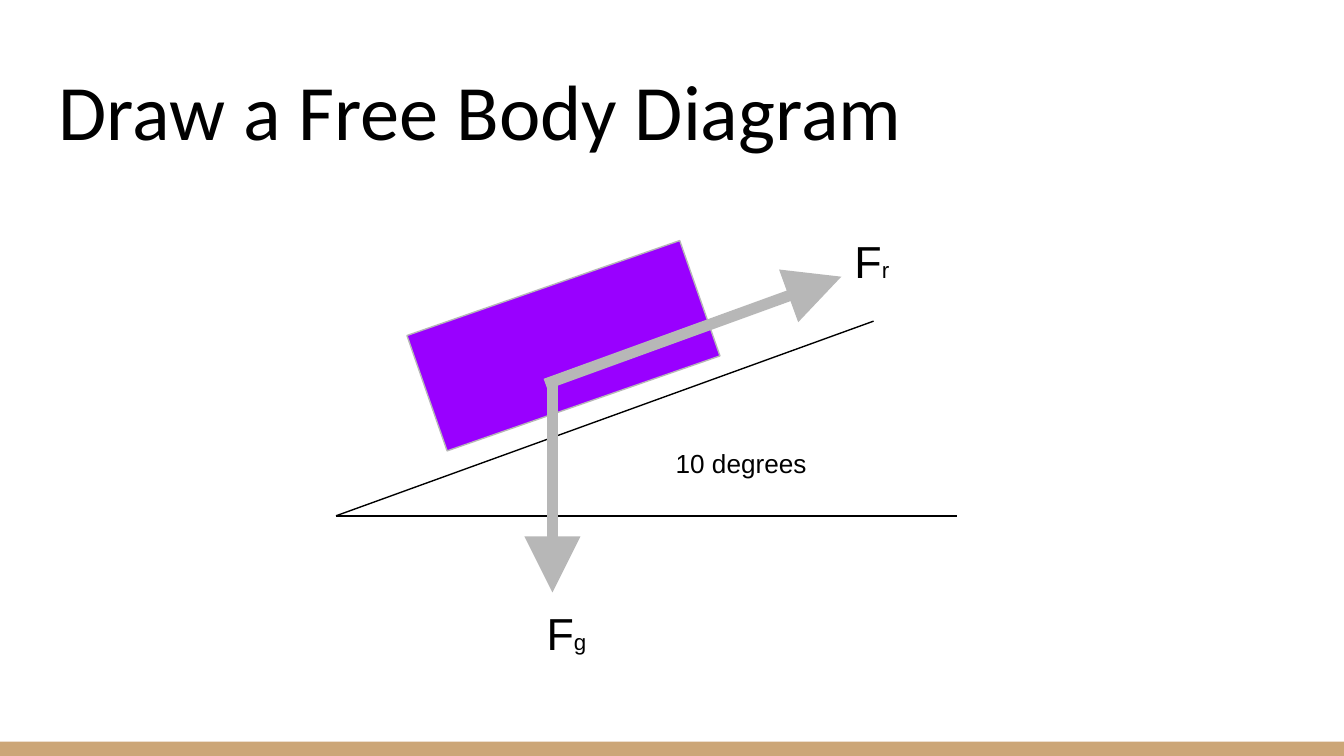
"""Build the slide with the free body diagram of a block on an incline."""
from lxml.etree import SubElement
from pptx import Presentation
from pptx.dml.color import RGBColor
from pptx.enum.shapes import MSO_CONNECTOR as Link, MSO_SHAPE as Shape
from pptx.enum.text import MSO_ANCHOR as Anchor
from pptx.oxml.ns import qn
from pptx.util import Cm, Pt

BLACK = RGBColor(0x00, 0x00, 0x00)
GREY = RGBColor(0xB7, 0xB7, 0xB7)
PURPLE = RGBColor(0x99, 0x00, 0xFF)
TAN = RGBColor(0xCC, 0xA6, 0x77)

FRAME_FORMAT = {
    "word_wrap": True,
    "margin_left": Cm(0.25),
    "margin_right": Cm(0.25),
    "margin_top": Cm(0.25),
    "margin_bottom": Cm(0.25),
}


def add_label(box, parts, font_name="Arial", anchor=Anchor.TOP):
    frame = slide.shapes.add_textbox(*map(Cm, box)).text_frame
    for key, value in {**FRAME_FORMAT, "vertical_anchor": anchor}.items():
        setattr(frame, key, value)
    for text, size in parts:
        run = frame.paragraphs[0].add_run()
        run.text = text
        for key, value in {"name": font_name, "size": Pt(size)}.items():
            setattr(run.font, key, value)
        run.font.color.rgb = BLACK


def add_stroke(start, end, color, width):
    stroke = slide.shapes.add_connector(Link.STRAIGHT, *map(Cm, start + end))
    stroke.line.color.rgb = color
    stroke.line.width = Pt(width)
    SubElement(stroke._element.spPr, qn("a:effectLst"))
    return stroke


deck = Presentation()
deck.slide_width, deck.slide_height = Cm(25.4), Cm(14.29)
slide = deck.slides.add_slide(deck.slide_layouts[6])

footer = slide.shapes.add_shape(Shape.RECTANGLE, 0, Cm(14.02), Cm(25.4), Cm(0.27))
footer.shadow.inherit = False
footer.fill.solid()
footer.fill.fore_color.rgb = TAN
footer.line.fill.background()

add_label((0.86, 0.89, 23.67, 2.31), [("Draw a Free Body Diagram", 42)],
          "Calibri", Anchor.BOTTOM)

corner = (6.35, 9.75)
for far_end in [(18.08, 9.75), (16.51, 6.07)]:
    add_stroke(corner, far_end, BLACK, 0.75)
add_label((12.52, 8.2, 5.05, 1.73), [("10 degrees", 14)])

block = slide.shapes.add_shape(Shape.RECTANGLE, Cm(7.92), Cm(5.38), Cm(5.46), Cm(2.31))
block.rotation = 340.8
block.shadow.inherit = False
block.fill.solid()
block.fill.fore_color.rgb = PURPLE
block.line.color.rgb = GREY
block.line.width = Pt(0.75)

forces = [
    ("g", (10.44, 7.21), (10.44, 11.2), (10.08, 11.2)),
    ("r", (10.31, 7.26), (15.9, 5.23), (15.9, 4.17)),
]
for subscript, start, tip, label_corner in forces:
    force = add_stroke(start, tip, GREY, 6)
    SubElement(force.line._get_or_add_ln(), qn("a:tailEnd"),
               type="triangle", w="lg", len="lg")
    add_label(label_corner + (2.31, 1.73), [("F", 24), (subscript, 12)])

deck.save("out.pptx")
